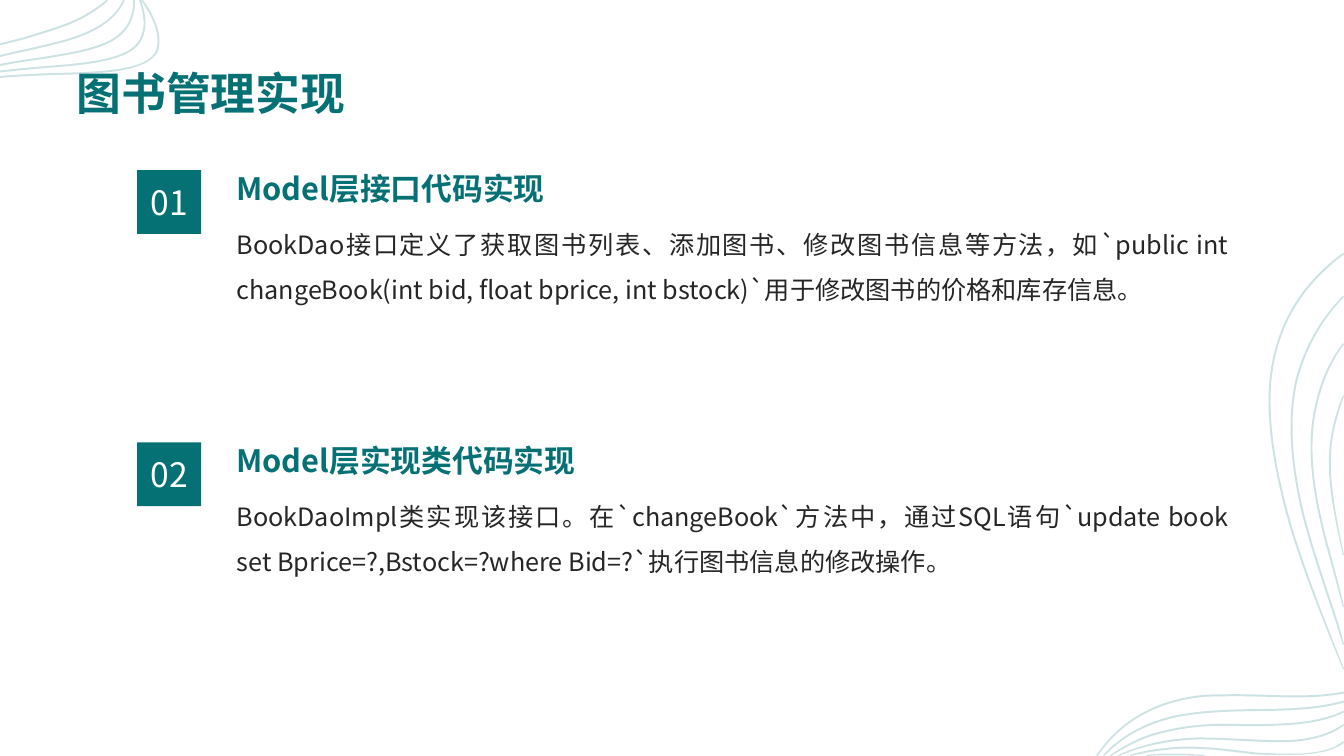
from dataclasses import dataclass
from math import hypot

from lxml import etree
from pptx import Presentation
from pptx import util as u
from pptx.dml.color import RGBColor
from pptx.enum import shapes, text
from pptx.oxml import ns
from pptx.shapes.base import BaseShape
from pptx.slide import Slide

COLORS = {"teal": "057174", "ink": "262626", "white": "FFFFFF"}
FONT = "Noto Sans CJK SC"
SLIDE_WIDTH, SLIDE_HEIGHT = 960, 540
RIBBON_WIDTH = 1.4
SECTION_TOP = 116.3
SECTION_STEP = 194.4
TEXT_LEFT, TEXT_WIDTH = 169, 708.5

Point = tuple[float, float]
Wave = list[Point]  # start, then two controls and an end for each curve


@dataclass(frozen=True)
class Style:
    size: float
    color: str
    bold: bool = False
    align: text.PP_ALIGN = text.PP_ALIGN.JUSTIFY
    anchor: text.MSO_ANCHOR = text.MSO_ANCHOR.MIDDLE
    spacing: float | None = None


@dataclass(frozen=True)
class Box:
    left: float
    top: float
    width: float
    height: float

    def lengths(self) -> list[u.Length]:
        return [u.Pt(v) for v in (self.left, self.top, self.width, self.height)]


@dataclass(frozen=True)
class Section:
    number: str
    heading: str
    body: str


TITLE = Style(32, "teal", True, text.PP_ALIGN.LEFT, text.MSO_ANCHOR.BOTTOM)
HEADING = Style(22, "teal", True)
BODY = Style(18, "ink", anchor=text.MSO_ANCHOR.TOP, spacing=1.5)
NUMBER = Style(24, "white", align=text.PP_ALIGN.CENTER)

SECTIONS = [
    Section("01", "Model层接口代码实现",
            "BookDao接口定义了获取图书列表、添加图书、修改图书信息等方法，如`public int "
            "changeBook(int bid, float bprice, int bstock)`用于修改图书的价格和库存信息。"),
    Section("02", "Model层实现类代码实现",
            "BookDaoImpl类实现该接口。在`changeBook`方法中，通过SQL语句`update book "
            "set Bprice=?,Bstock=?where Bid=?`执行图书信息的修改操作。"),
]

TOP_LEFT_WAVES: list[Wave] = [
    [(0, 31.7), (5.8, 30.2), (11.5, 28.8), (17, 27.4), (33.5, 22.3), (51, 17.5),
     (63, 10), (68, 7), (73, 3.5), (76.7, 0)],
    [(88.5, 0), (82.8, 13.7), (67.5, 23.2), (45.8, 29.2), (37.7, 31.5), (28.5, 33.5),
     (19.5, 35.6), (13, 37), (6.5, 38.5), (0, 40)],
    [(95.8, 0), (96, 9), (93.5, 17.5), (86.3, 24.2), (75.5, 34.5), (52, 38),
     (29.5, 41.6), (19.5, 43), (9.5, 44.5), (0, 46.4)],
    [(100, 0), (104, 11.5), (105.5, 23.7), (97.5, 32.5), (89, 41.5), (69, 44.5),
     (49, 46.6), (33, 47.9), (16, 49.2), (0, 51.1)],
    [(101.5, 0), (110.2, 12.2), (115.5, 25.5), (112.3, 36), (105.8, 51.5), (70, 52),
     (38.2, 52.9), (25, 53.3), (12, 54), (0, 55)],
]
RIGHT_WAVES: list[Wave] = [
    [(960, 282.6), (955.9, 292.2), (952.7, 303), (951, 314.5), (947.5, 338.3),
     (953, 366), (960, 396.5)],
    [(960, 245.5), (949.8, 258.5), (943.3, 274), (939.7, 291.5), (933.3, 320.5),
     (938.3, 353), (947.7, 388.5), (952, 404), (956, 419), (960, 433.5)],
    [(960, 211.7), (943.7, 228), (932, 248.5), (926, 272), (919.7, 300), (922.5, 333),
     (931, 368), (937, 391), (944.5, 413), (952, 435.5), (955, 444.5), (957.6, 453),
     (960, 460.5)],
    [(960, 181.2), (952.5, 186.3), (946, 192.3), (939.6, 199), (921, 219), (910, 243.5),
     (907.3, 273.6), (905, 304.5), (911.5, 339), (921.7, 375), (931.8, 408.5),
     (945.8, 443.5), (960, 478)],
    [(960, 494.7), (943, 498), (923, 497.8), (903.3, 497), (889, 496.5), (874.8, 496.5),
     (861.1, 497), (826, 500), (800, 515.5), (783.6, 540)],
    [(960, 501.1), (942.5, 506.2), (922, 507), (899, 507.2), (878, 507.5), (858.5, 508),
     (840, 511.7), (818, 516.5), (800.5, 526.5), (788.4, 540)],
    [(960, 508.3), (941, 517.5), (916, 518), (889, 518), (860, 517), (843, 519),
     (822, 525.2), (811.5, 528.8), (802, 534), (793.4, 540)],
    [(960, 517.7), (949, 525.5), (934.5, 529.3), (915.8, 529.5), (897, 529.5),
     (876, 527.5), (856, 527.5), (835, 528), (815, 532.5), (799, 540)],
    [(960, 530), (948, 540), (925, 540), (896.4, 538.2), (874, 535.5), (852.5, 532.5),
     (833, 535), (824, 535.8), (815, 537.5), (807.4, 540)],
    [(819, 540), (830, 538.5), (845, 538.8), (860.4, 540)],
]


def rgb(name: str) -> RGBColor:
    return RGBColor.from_string(COLORS[name])


def shifted(wave: Wave, distance: float) -> list[tuple[u.Length, u.Length]]:
    """Move a wave sideways, keeping it on the slide."""
    moved = []
    for (x, y), before, after in zip(wave, wave[:1] + wave, wave[1:] + wave[-1:]):
        dx, dy = after[0] - before[0], after[1] - before[1]
        reach = distance / hypot(dx, dy)
        moved.append((u.Pt(min(max(x - dy * reach, 0), SLIDE_WIDTH)),
                      u.Pt(min(max(y + dx * reach, 0), SLIDE_HEIGHT))))
    return moved


def bend(ribbons: BaseShape, waves: list[Wave]) -> None:
    """Join each three straight steps along a wave into one cubic curve."""
    steps = iter(ribbons._element.findall(".//" + ns.qn("a:lnTo")))
    for wave in waves:
        curves = len(wave) // 3
        for index in range(2 * curves):
            if index == curves:
                next(steps)  # the straight end of the ribbon
            trio = [next(steps) for _ in range(3)]
            curve = etree.Element(ns.qn("a:cubicBezTo"))
            trio[0].addprevious(curve)
            for step in trio:
                curve.append(step[0])
                step.getparent().remove(step)


def draw_waves(slide: Slide, waves: list[Wave]) -> None:
    outlines = [shifted(wave, RIBBON_WIDTH / 2) + shifted(wave, -RIBBON_WIDTH / 2)[::-1]
                for wave in waves]
    builder = slide.shapes.build_freeform(*outlines[0][0])
    for index, outline in enumerate(outlines):
        if index:
            builder.move_to(*outline[0])
        builder.add_line_segments(outline[1:], close=False)
    ribbons = builder.convert_to_shape()
    bend(ribbons, waves)
    ribbons.shadow.inherit = False
    ribbons.line.fill.background()
    ribbons.fill.solid()
    ribbons.fill.fore_color.rgb = rgb("teal")
    tint = ribbons._element.spPr.find(ns.qn("a:solidFill"))[0]
    etree.SubElement(tint, ns.qn("a:alpha"), val="20000")


def write(shape: BaseShape, words: str, style: Style) -> None:
    frame = shape.text_frame
    frame.word_wrap = True
    frame.vertical_anchor = style.anchor
    frame.margin_left = frame.margin_top = frame.margin_right = frame.margin_bottom = 0
    paragraph = frame.paragraphs[0]
    paragraph.text = words
    paragraph.alignment = style.align
    if style.spacing:
        paragraph.line_spacing = style.spacing
    font = paragraph.font
    font.size = u.Pt(style.size)
    font.bold = style.bold
    font.color.rgb = rgb(style.color)
    font.name = FONT
    defaults = paragraph._p.pPr.find(ns.qn("a:defRPr"))
    etree.SubElement(defaults, ns.qn("a:ea"), typeface=FONT)


def add_text(slide: Slide, box: Box, words: str, style: Style) -> None:
    write(slide.shapes.add_textbox(*box.lengths()), words, style)


def draw_section(slide: Slide, section: Section, top: float) -> None:
    add_text(slide, Box(TEXT_LEFT, top + 36.6, TEXT_WIDTH, 141.1), section.body, BODY)
    add_text(slide, Box(TEXT_LEFT, top, TEXT_WIDTH, 36), section.heading, HEADING)
    badge = slide.shapes.add_shape(shapes.MSO_SHAPE.RECTANGLE,
                                   *Box(98, top + 5.2, 45.6, 45.6).lengths())
    badge.shadow.inherit = False
    badge.fill.solid()
    badge.fill.fore_color.rgb = rgb("teal")
    badge.line.fill.background()
    write(badge, section.number, NUMBER)


def main() -> None:
    deck = Presentation()
    deck.slide_width, deck.slide_height = u.Pt(SLIDE_WIDTH), u.Pt(SLIDE_HEIGHT)
    slide = deck.slides.add_slide(deck.slide_layouts[6])
    for waves in (TOP_LEFT_WAVES, RIGHT_WAVES):
        draw_waves(slide, waves)
    add_text(slide, Box(54.7, 28.4, 850.4, 56.8), "图书管理实现", TITLE)
    for index, section in enumerate(SECTIONS):
        draw_section(slide, section, SECTION_TOP + index * SECTION_STEP)
    deck.save("out.pptx")


if __name__ == "__main__":
    main()
